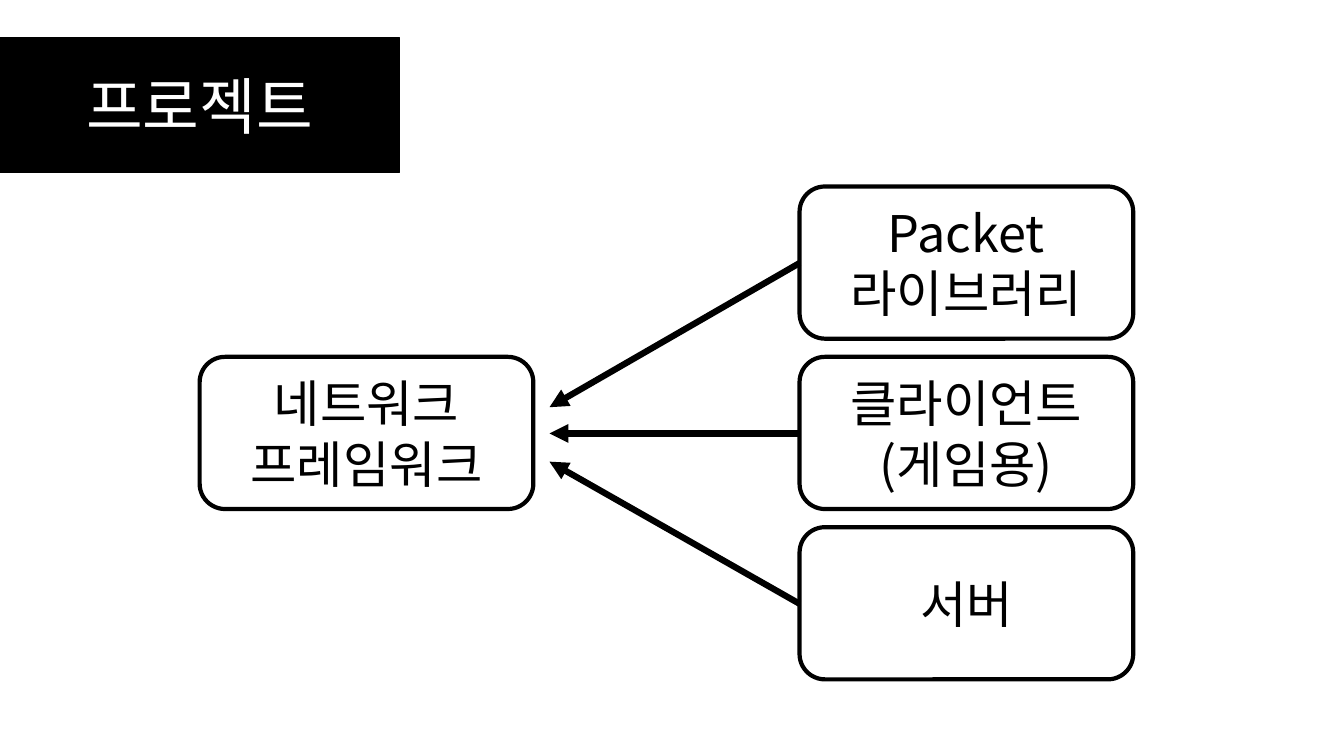
from lxml import etree
from pptx import Presentation, util as u
from pptx.dml.color import RGBColor
from pptx.enum import shapes, text
from pptx.oxml.ns import qn

PX = u.Inches(1) // 100
FONT = "Noto Sans CJK KR"
BLACK, WHITE = "000000", "FFFFFF"


def paint(box, fill, line, width):
    box.fill.solid()
    box.fill.fore_color.rgb = RGBColor.from_string(fill)
    box.line.color.rgb = RGBColor.from_string(line)
    box.line.width = u.Pt(width)


def write(box, words, size, color):
    frame = box.text_frame
    frame.word_wrap = True
    frame.auto_size = text.MSO_AUTO_SIZE.NONE
    frame.vertical_anchor = text.MSO_ANCHOR.MIDDLE
    frame.text = words
    for para in frame.paragraphs:
        para.alignment = text.PP_ALIGN.CENTER
        para.line_spacing = 1.0
        para.font.name = FONT
        para.font.size = u.Pt(size)
        para.font.color.rgb = RGBColor.from_string(color)
        properties = para.font._element
        etree.SubElement(properties, qn("a:ea"), typeface=FONT)


deck = Presentation()
deck.slide_width, deck.slide_height = 1333 * PX, 750 * PX
page = deck.slides.add_slide(deck.slide_layouts[5])

title = page.shapes.title
title.left, title.top, title.width, title.height = 0, 37 * PX, 396 * PX, 134 * PX
paint(title, BLACK, BLACK, 1)
write(title, "프로젝트", 44, WHITE)

BOX_WIDTH, BOX_HEIGHT = 331, 151
LEFT_COLUMN, RIGHT_COLUMN = 198, 793
FIRST_ROW, ROW_STEP = 185, 169
ARROW_TIP_X = 545

nodes = [
    ("네트워크\n프레임워크", LEFT_COLUMN, 1),
    ("Packet\n라이브러리", RIGHT_COLUMN, 0),
    ("클라이언트\n(게임용)", RIGHT_COLUMN, 1),
    ("서버", RIGHT_COLUMN, 2),
]
for words, left, row in nodes:
    top = FIRST_ROW + row * ROW_STEP
    box = page.shapes.add_shape(
        shapes.MSO_SHAPE.ROUNDED_RECTANGLE,
        left * PX, top * PX, BOX_WIDTH * PX, BOX_HEIGHT * PX)
    box.shadow.inherit = False
    paint(box, WHITE, BLACK, 3)
    write(box, words, 36, BLACK)

for row, tip_y in enumerate([404, 430, 458]):
    start_y = FIRST_ROW + row * ROW_STEP + BOX_HEIGHT // 2 + 1
    arrow = page.shapes.add_connector(
        shapes.MSO_CONNECTOR.STRAIGHT,
        RIGHT_COLUMN * PX, start_y * PX, ARROW_TIP_X * PX, tip_y * PX)
    arrow.line.color.rgb = RGBColor.from_string(BLACK)
    arrow.line.width = u.Pt(4.5)
    etree.SubElement(arrow.line._get_or_add_ln(), qn("a:tailEnd"), type="triangle")
    etree.SubElement(arrow._element.spPr, qn("a:effectLst"))

deck.save("out.pptx")
